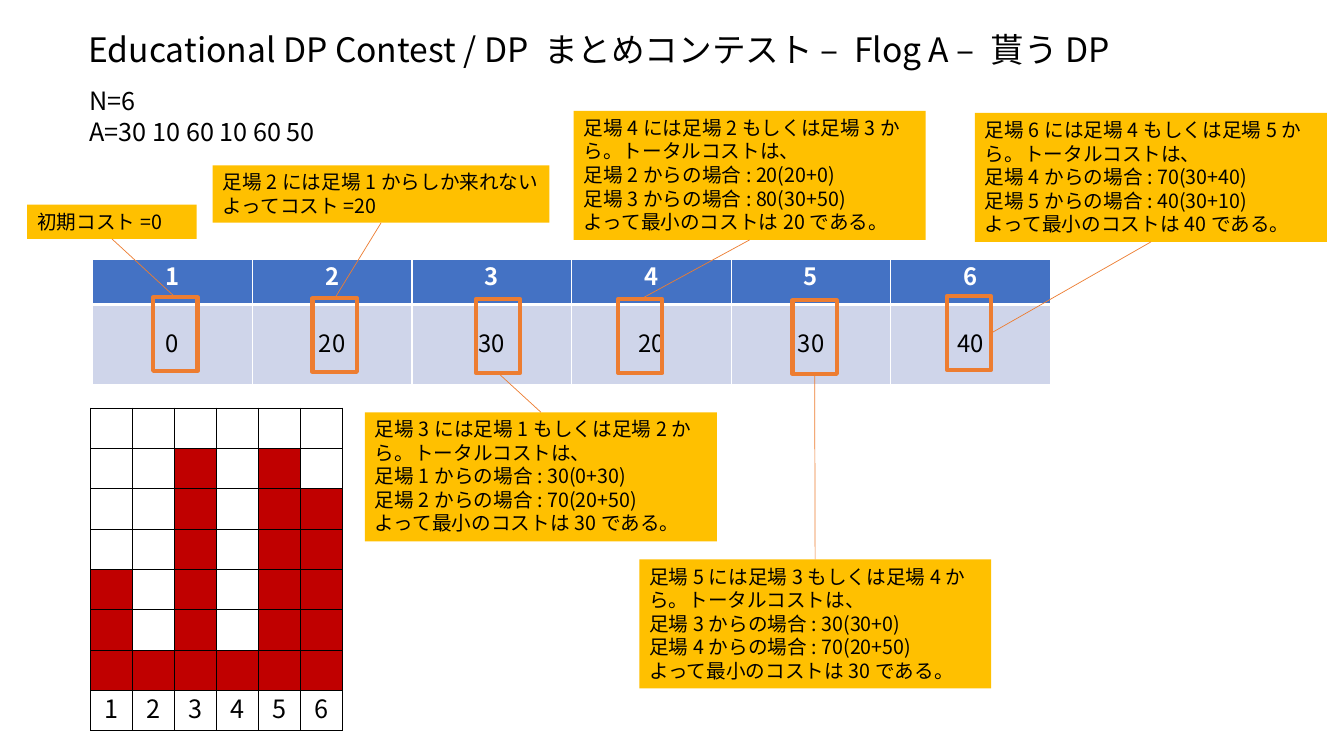
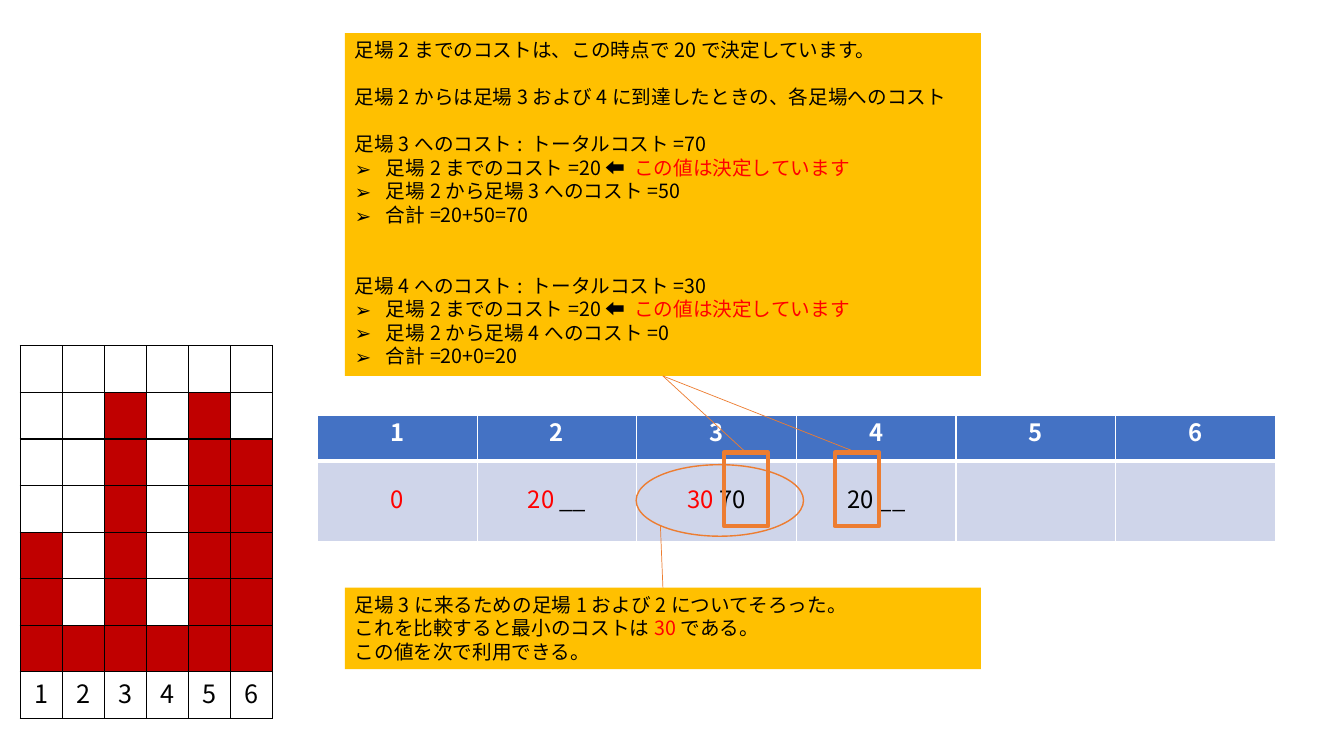
import lxml.etree
import pptx
import pptx.dml.color
import pptx.enum.shapes
import pptx.enum.text
import pptx.oxml.ns
import pptx.util

Inches = pptx.util.Inches
Pt = pptx.util.Pt
MSO_SHAPE = pptx.enum.shapes.MSO_SHAPE
PP_ALIGN = pptx.enum.text.PP_ALIGN
MSO_ANCHOR = pptx.enum.text.MSO_ANCHOR
qn = pptx.oxml.ns.qn

COLORS = {
    "white": "FFFFFF", "black": "000000", "red": "FF0000",
    "header": "4472C4", "band": "CFD5EA", "bar": "C00000",
    "note": "FFC000", "accent": "ED7D31",
}
FONT = "Noto Sans CJK JP"
LINE_PITCH = 1.2
NOTE_SIZE = 14
BLANK_LINE = NOTE_SIZE * LINE_PITCH
HEIGHTS = [30, 10, 60, 10, 60, 50]
TOP, LEFT, BOTTOM, RIGHT = range(4)


def rgb(name):
    return pptx.dml.color.RGBColor.from_string(COLORS[name])


# Text: pieces between "|" alternate between the base colour and red
def write_paragraph(paragraph, text, size, color="black", bold=False, align=None):
    paragraph.alignment = align
    paragraph.line_spacing = Pt(size * LINE_PITCH)
    for index, piece in enumerate(text.split("|")):
        if not piece:
            continue
        run = paragraph.add_run()
        run.text = piece
        run.font.size = Pt(size)
        run.font.bold = bold
        run.font.name = FONT
        run.font.color.rgb = rgb("red" if index % 2 else color)
        properties = run.font._element
        east_asian = lxml.etree.SubElement(properties, qn("a:ea"))
        east_asian.set("typeface", FONT)


def write_lines(text_frame, lines, size):
    text_frame.word_wrap = True
    for index, line in enumerate(lines):
        paragraph = text_frame.paragraphs[0] if index == 0 else text_frame.add_paragraph()
        write_paragraph(paragraph, line, size, align=PP_ALIGN.LEFT)


def add_bullet(paragraph):
    properties = paragraph._p.get_or_add_pPr()
    properties.set("marL", str(Inches(0.31)))
    properties.set("indent", str(-Inches(0.31)))
    lxml.etree.SubElement(properties, qn("a:buFont")).set("typeface", FONT)
    lxml.etree.SubElement(properties, qn("a:buChar")).set("char", "➢")


def add_text(slide, left, top, width, height, lines, size):
    box = slide.shapes.add_textbox(Inches(left), Inches(top), Inches(width), Inches(height))
    write_lines(box.text_frame, lines, size)


# Shapes and lines
def add_note(slide, left, top, width, height, lines):
    note = slide.shapes.add_shape(
        MSO_SHAPE.RECTANGLE, Inches(left), Inches(top), Inches(width), Inches(height))
    note.shadow.inherit = False
    note.fill.solid()
    note.fill.fore_color.rgb = rgb("note")
    note.line.fill.background()
    note.text_frame.vertical_anchor = MSO_ANCHOR.TOP
    write_lines(note.text_frame, lines, NOTE_SIZE)
    return note


def add_outline(slide, left, top, width=0.44, height=0.73, kind=MSO_SHAPE.RECTANGLE, weight=3):
    outline = slide.shapes.add_shape(
        kind, Inches(left), Inches(top), Inches(width), Inches(height))
    outline.shadow.inherit = False
    outline.fill.background()
    outline.line.color.rgb = rgb("accent")
    outline.line.width = Pt(weight)
    return outline


def add_leader(slide, note, note_side, target=None, target_side=TOP, point=(0, 0)):
    """Join a note to a target's side, or to a free point."""
    x, y = (Inches(value) for value in point)
    leader = slide.shapes.add_connector(pptx.enum.shapes.MSO_CONNECTOR.STRAIGHT, x, y, x, y)
    leader.begin_connect(note, note_side)
    if target is not None:
        leader.end_connect(target, target_side)
    leader.line.color.rgb = rgb("accent")
    leader.line.width = Pt(0.5)
    lxml.etree.SubElement(leader._element.spPr, qn("a:effectLst"))


# Tables
def style_cell(cell, fill, border, bottom_weight=1):
    cell.fill.solid()
    cell.fill.fore_color.rgb = rgb(fill)
    properties = cell._tc.get_or_add_tcPr()
    for index, side in enumerate("LRTB"):
        line = lxml.etree.Element(qn("a:ln" + side))
        line.set("w", str(Pt(bottom_weight if side == "B" else 1)))
        solid = lxml.etree.SubElement(line, qn("a:solidFill"))
        lxml.etree.SubElement(solid, qn("a:srgbClr")).set("val", COLORS[border])
        properties.insert(index, line)


def add_grid(slide, left, top, width, row_heights):
    columns = len(HEIGHTS)
    frame = slide.shapes.add_table(
        len(row_heights), columns, Inches(left), Inches(top),
        Inches(width), Inches(sum(row_heights)))
    table = frame.table
    table.first_row = table.horz_banding = False
    for column in table.columns:
        column.width = Inches(width / columns)
    for row, height in zip(table.rows, row_heights):
        row.height = Inches(height)
    return table


def add_cost_table(slide, left, top, values):
    table = add_grid(slide, left, top, 9.5, [0.45, 0.8])
    for column, value in enumerate(values):
        header, cost = table.cell(0, column), table.cell(1, column)
        style_cell(header, "header", "white", bottom_weight=3)
        style_cell(cost, "band", "white")
        cost.vertical_anchor = MSO_ANCHOR.MIDDLE
        write_paragraph(header.text_frame.paragraphs[0], str(column + 1), 17,
                        "white", True, PP_ALIGN.CENTER)
        write_paragraph(cost.text_frame.paragraphs[0], value, 17, align=PP_ALIGN.CENTER)


def add_height_bars(slide, left, top, height):
    """Draw each scaffold as a column of filled cells, with its number below."""
    levels = max(HEIGHTS) // 10 + 1
    table = add_grid(slide, left, top, 2.5, [height / (levels + 1)] * (levels + 1))
    for column, scaffold in enumerate(HEIGHTS):
        for row in range(levels + 1):
            cell = table.cell(row, column)
            filled = row < levels and levels - row <= scaffold // 10
            style_cell(cell, "bar" if filled else "white", "black")
            cell.margin_top = cell.margin_bottom = 0
        cell = table.cell(levels, column)
        cell.vertical_anchor = MSO_ANCHOR.MIDDLE
        write_paragraph(cell.text_frame.paragraphs[0], str(column + 1), 18,
                        align=PP_ALIGN.CENTER)


def choice_lines(step, from_two_back, from_one_back, minimum):
    return [
        f"足場{step}には足場{step - 2}もしくは足場{step - 1}から。トータルコストは、",
        f"足場{step - 2}からの場合: {from_two_back}",
        f"足場{step - 1}からの場合: {from_one_back}",
        f"よって最小のコストは{minimum}である。",
    ]


def build_pull_slide(slide):
    add_text(slide, 0.78, 0.24, 10.97, 0.5,
             ["Educational DP Contest / DP まとめコンテスト – Flog A – 貰うDP"], 24)
    add_text(slide, 0.79, 0.8, 4.72, 0.71, ["N=6", "A=30 10 60 10 60 50"], 18)
    add_cost_table(slide, 0.92, 2.57, ["0", "20", "30", "20", "30", "40"])
    add_height_bars(slide, 0.9, 4.05, 3.2)

    # Each step: frame position, note box, note side, frame side, wording
    choice_size = (3.49, 1.28)
    steps = [
        ((1.52, 2.95), (0.27, 2.03, 1.68, 0.34), BOTTOM, TOP, ["初期コスト=0"]),
        ((3.1, 2.96), (2.11, 1.64, 3.34, 0.57), BOTTOM, TOP,
         ["足場2には足場1からしか来れない", "よってコスト=20"]),
        ((4.72, 2.97), (3.62, 4.09, *choice_size), TOP, BOTTOM,
         choice_lines(3, "30(0+30)", "70(20+50)", 30)),
        ((6.13, 2.97), (5.69, 1.1, *choice_size), BOTTOM, TOP,
         choice_lines(4, "20(20+0)", "80(30+50)", 20)),
        ((7.86, 2.98), (6.34, 5.55, *choice_size), TOP, BOTTOM,
         choice_lines(5, "30(30+0)", "70(20+50)", 30)),
        ((9.39, 2.94), (9.67, 1.12, *choice_size), BOTTOM, RIGHT,
         choice_lines(6, "70(30+40)", "40(30+10)", 40)),
    ]
    for position, box, note_side, frame_side, lines in steps:
        frame = add_outline(slide, *position)
        note = add_note(slide, *box, lines)
        add_leader(slide, note, note_side, frame, frame_side)


def build_push_slide(slide):
    add_cost_table(slide, 3.15, 4.12, ["|0", "|20| __", "|30| 70", "20 __", "", ""])
    add_height_bars(slide, 0.2, 3.43, 3.7)

    # Explanation of the two jumps from scaffold 2
    explanation = add_note(slide, 3.42, 0.33, 6.31, 3.4, [
        "足場2までのコストは、この時点で20で決定しています。",
        "足場2からは足場3および4に到達したときの、各足場へのコスト",
        "足場3へのコスト: トータルコスト=70",
        "足場2までのコスト=20 ⬅ |この値は決定しています",
        "足場2から足場3へのコスト=50",
        "合計=20+50=70",
        "足場4へのコスト: トータルコスト=30",
        "足場2までのコスト=20 ⬅ |この値は決定しています",
        "足場2から足場4へのコスト=0",
        "合計=20+0=20",
    ])
    paragraphs = explanation.text_frame.paragraphs
    for index, blank_lines in {1: 1, 2: 1, 6: 2}.items():
        paragraphs[index].space_before = Pt(blank_lines * BLANK_LINE)
    for index in (3, 4, 5, 7, 8, 9):
        add_bullet(paragraphs[index])
    for left in (7.18, 8.28):
        add_leader(slide, explanation, BOTTOM, add_outline(slide, left, 4.49))

    # Comparison for scaffold 3
    add_outline(slide, 6.31, 4.61, 1.66, 0.71, MSO_SHAPE.OVAL, 1)
    comparison = add_note(slide, 3.42, 5.83, 6.31, 0.81, [
        "足場3に来るための足場1および2についてそろった。",
        "これを比較すると最小のコストは|30|である。",
        "この値を次で利用できる。",
    ])
    add_leader(slide, comparison, TOP, point=(6.55, 5.22))


def main():
    presentation = pptx.Presentation()
    presentation.slide_width = Inches(13.33)
    presentation.slide_height = Inches(7.5)
    for build in (build_pull_slide, build_push_slide):
        build(presentation.slides.add_slide(presentation.slide_layouts[6]))
    presentation.save("out.pptx")


if __name__ == "__main__":
    main()
